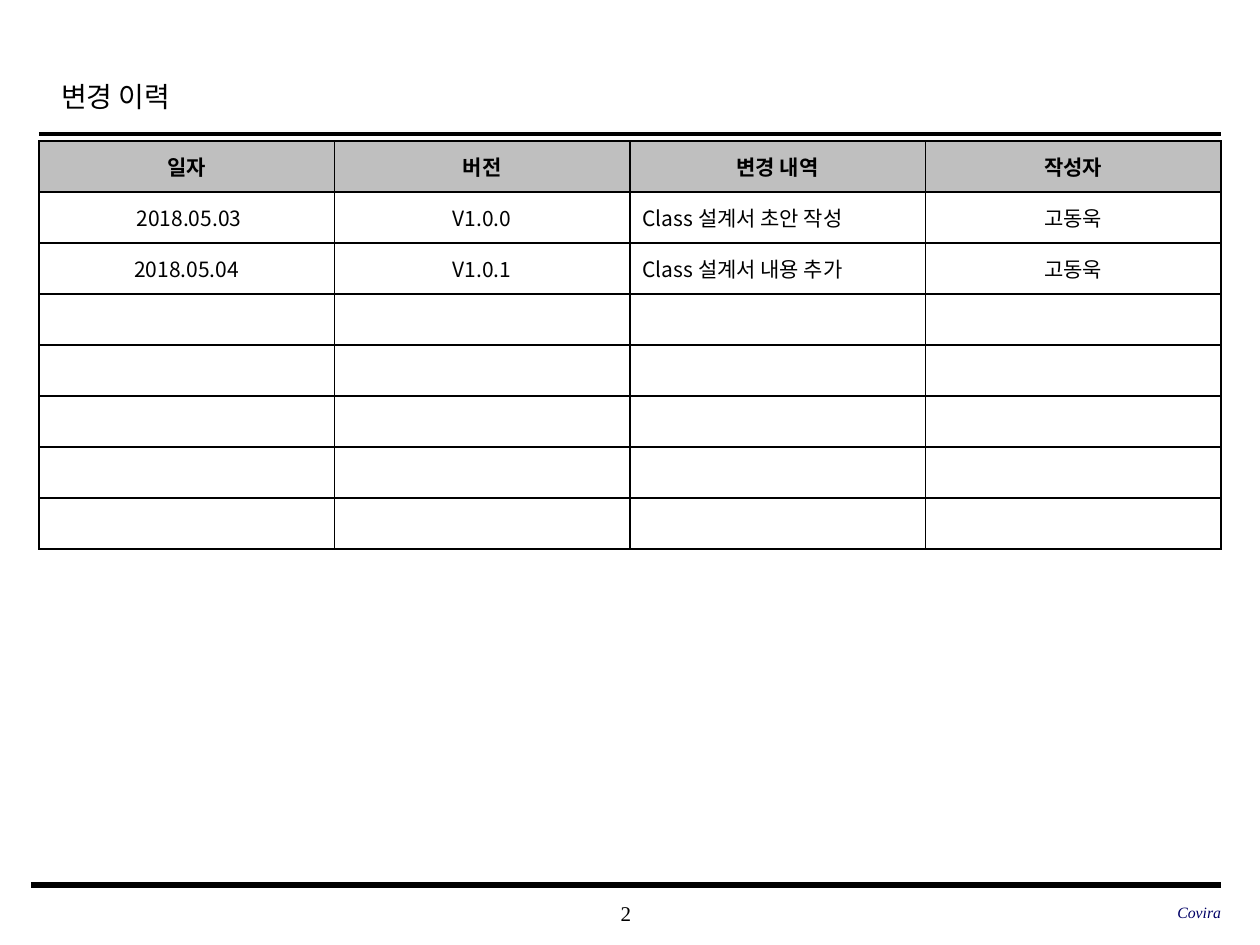
from lxml.etree import SubElement
from pptx import Presentation
from pptx.dml.color import RGBColor
from pptx.enum.shapes import MSO_CONNECTOR
from pptx.enum.text import MSO_ANCHOR, PP_ALIGN
from pptx.oxml.ns import qn
from pptx.util import Pt

SCALE = 914400 / 126
SERIF, SANS = "Times New Roman", "Noto Sans CJK KR"
BLACK, NAVY, GRAY, WHITE = "000000", "000066", "BFBFBF", "FFFFFF"
LEFT, CENTER, RIGHT = PP_ALIGN.LEFT, PP_ALIGN.CENTER, PP_ALIGN.RIGHT

TITLE = "변경 이력"
PAGE_NUMBER = "2"
TEAM = "Covira"
HEADER = ["일자", "버전", "변경 내역", "작성자"]
CHANGES = [
    [" 2018.05.03", "V1.0.0", "Class 설계서 초안 작성", "고동욱"],
    ["2018.05.04", "V1.0.1", "Class 설계서 내용 추가", "고동욱"],
]
EMPTY_ROWS = 5
ALIGNMENTS = [CENTER, CENTER, LEFT, CENTER]
RULES = [(39, 1221, 134, 2.5), (31, 1221, 885, 3)]
TABLE_LEFT, TABLE_TOP, TABLE_WIDTH, ROW_HEIGHT = 39, 141, 1182, 51


def px(length):
    """Turn pixels into EMU."""
    return round(length * SCALE)


def color(code):
    """Turn a hex string into a colour."""
    return RGBColor.from_string(code)


def add_span(para, text, size, font, code=BLACK, bold=False, italic=False):
    """Add one run, with its East Asian font, to a paragraph."""
    span = para.add_run()
    span.text = text
    span.font.size = Pt(size)
    span.font.name = font
    span.font.bold = bold
    span.font.italic = italic
    span.font.color.rgb = color(code)
    SubElement(span.font._element, qn("a:ea"), typeface=SANS)


def add_text(page, bounds, text, size, align, inset=(0, 0), spacing=1, **style):
    """Add a text box holding a single line."""
    box = page.shapes.add_textbox(*map(px, bounds))
    frame = box.text_frame
    frame.word_wrap = True
    frame.vertical_anchor = MSO_ANCHOR.MIDDLE
    frame.margin_left = frame.margin_right = px(inset[0])
    frame.margin_top = frame.margin_bottom = px(inset[1])
    para = frame.paragraphs[0]
    para.alignment = align
    para.line_spacing = spacing
    add_span(para, text, size, SERIF, **style)


def add_rule(page, left, right, y, weight):
    """Add a horizontal black line without a shadow."""
    rule = page.shapes.add_connector(
        MSO_CONNECTOR.STRAIGHT, px(left), px(y), px(right), px(y))
    rule.line.color.rgb = color(BLACK)
    rule.line.width = Pt(weight)
    SubElement(rule._element.spPr, qn("a:effectLst"))


def style_cell(cell, fill):
    """Give a cell black borders, a fill and middle anchoring."""
    cell.vertical_anchor = MSO_ANCHOR.MIDDLE
    cell.margin_top = cell.margin_bottom = px(3)
    properties = cell._tc.get_or_add_tcPr()
    for side in ("lnL", "lnR", "lnT", "lnB"):
        border = SubElement(properties, qn(f"a:{side}"), w=str(Pt(1)))
        solid = SubElement(border, qn("a:solidFill"))
        SubElement(solid, qn("a:srgbClr"), val=BLACK)
    cell.fill.solid()
    cell.fill.fore_color.rgb = color(fill)


def add_history(page):
    """Add the table of changes."""
    rows = [HEADER, *CHANGES, *[[""] * len(HEADER)] * EMPTY_ROWS]
    frame = page.shapes.add_table(
        len(rows), len(HEADER), px(TABLE_LEFT), px(TABLE_TOP),
        px(TABLE_WIDTH), px(ROW_HEIGHT * len(rows)))
    for row_index, values in enumerate(rows):
        is_header = row_index == 0
        for column_index, text in enumerate(values):
            cell = frame.table.cell(row_index, column_index)
            style_cell(cell, GRAY if is_header else WHITE)
            if text:
                para = cell.text_frame.paragraphs[0]
                para.alignment = CENTER if is_header else ALIGNMENTS[column_index]
                add_span(para, text, 12, SANS, bold=is_header)


def main():
    """Build and save the slide."""
    deck = Presentation()
    deck.slide_width, deck.slide_height = px(1260), px(945)
    page = deck.slides.add_slide(deck.slide_layouts[6])
    add_text(page, (495, 892, 262, 42), PAGE_NUMBER, 12, CENTER)
    for rule in RULES:
        add_rule(page, *rule)
    add_text(page, (49, 62, 951, 63), TITLE, 16, LEFT, inset=(12, 6), spacing=1.2)
    add_text(page, (835, 891, 386, 42), TEAM, 9, RIGHT, code=NAVY, italic=True)
    add_history(page)
    deck.save("out.pptx")


if __name__ == "__main__":
    main()
